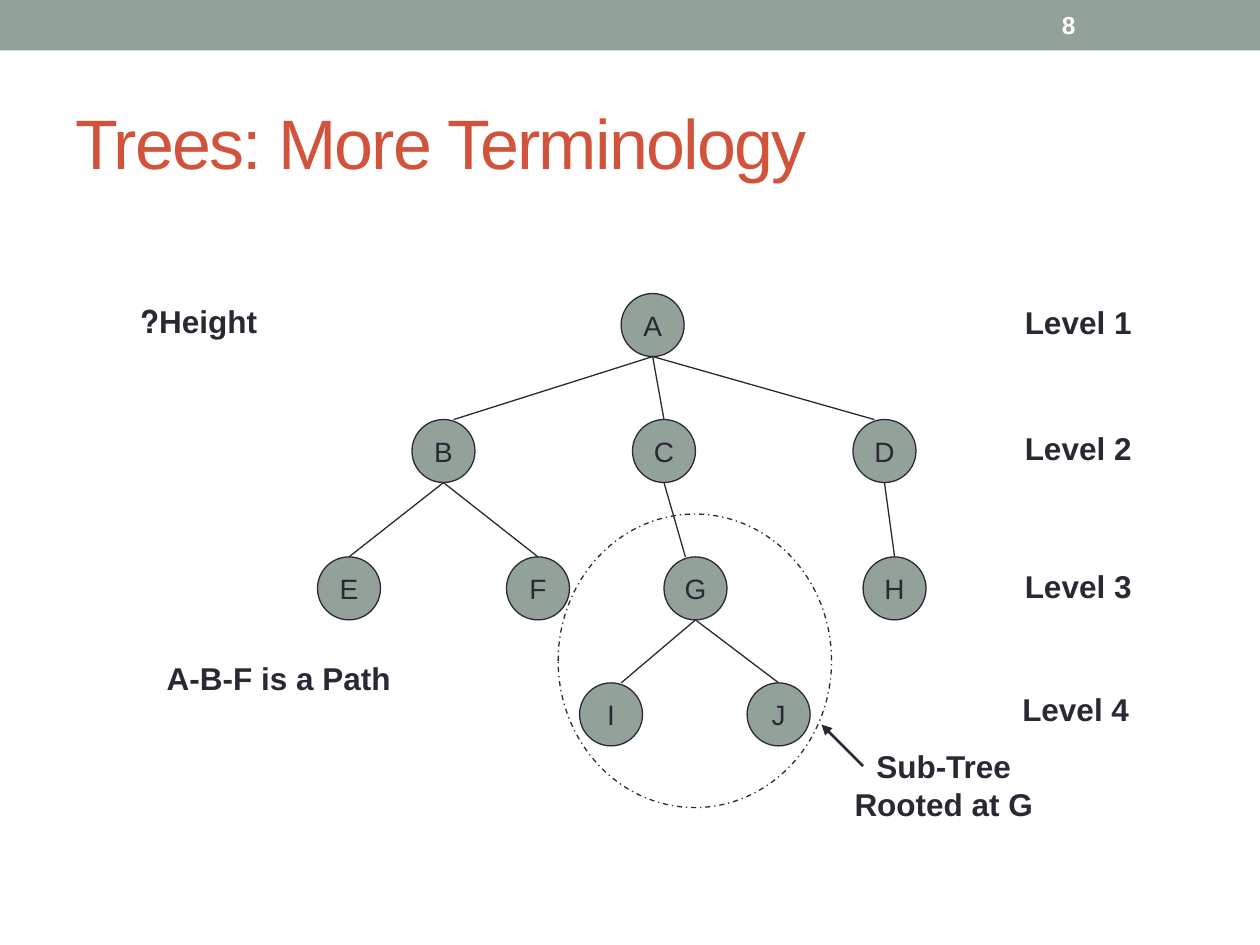
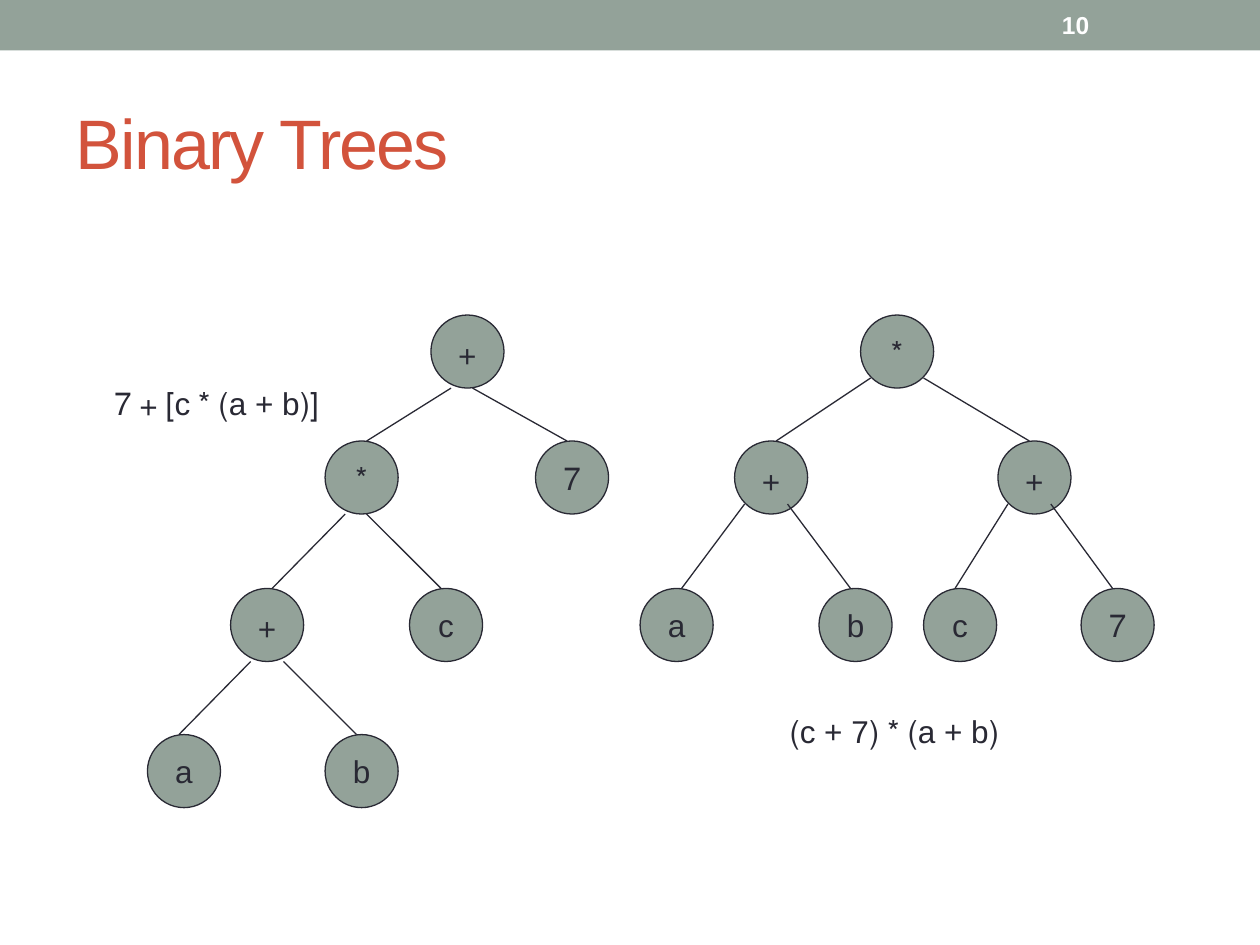
from lxml.etree import SubElement
from pptx import Presentation
from pptx.dml.color import RGBColor
from pptx.enum.dml import MSO_LINE as Dash
from pptx.enum.shapes import MSO_CONNECTOR as Conn, MSO_SHAPE as Shape
from pptx.enum.text import MSO_ANCHOR as Anchor, MSO_AUTO_SIZE as Fit, PP_ALIGN as Align
from pptx.oxml.ns import qn
from pptx.util import Inches, Pt

COLORS = {"band": "93A299", "title": "D2533C", "ink": "292934", "page": "FFFFFF"}
FONT = "Arial"

# nodes: key -> left, top; the first letter of the key is the label
# edges: parent, child, sideways shift at the parent, sideways shift at the child
# drop: how far below the top of the parent its edges start
TERMS = {
    "size": 0.5, "drop": 0.5, "pt": 16,
    "nodes": {
        "A": (4.93, 2.33),
        "B": (3.27, 3.33), "C": (5.02, 3.33), "D": (6.77, 3.33),
        "E": (2.52, 4.42), "F": (4.02, 4.42), "G": (5.27, 4.42), "H": (6.85, 4.42),
        "I": (4.6, 5.42), "J": (5.93, 5.42),
    },
    "edges": [
        ("A", "B", 0, 0.08), ("A", "C", 0, 0), ("A", "D", 0, -0.08),
        ("B", "E", 0, 0), ("B", "F", 0, 0), ("C", "G", 0, -0.08),
        ("D", "H", 0, 0), ("G", "I", 0, 0.08), ("G", "J", 0, 0),
    ],
}
SUM = {
    "size": 0.58, "drop": 0.58, "pt": 18,
    "nodes": {
        "+1": (3.42, 2.5), "*": (2.58, 3.5), "7": (4.25, 3.5),
        "+2": (1.83, 4.67), "c": (3.25, 4.67),
        "a": (1.17, 5.83), "b": (2.58, 5.83),
    },
    "edges": [
        ("+1", "*", -0.13, 0.04), ("+1", "7", 0.04, -0.04),
        ("*", "+2", -0.13, 0.04), ("*", "c", 0.04, -0.04),
        ("+2", "a", -0.13, -0.04), ("+2", "b", 0.13, -0.04),
    ],
}
PRODUCT = {
    "size": 0.58, "drop": 0.5, "pt": 18,
    "nodes": {
        "*": (6.83, 2.5), "+1": (5.83, 3.5), "+2": (7.92, 3.5),
        "a": (5.08, 4.67), "b": (6.5, 4.67), "c": (7.33, 4.67), "7": (8.58, 4.67),
    },
    "edges": [
        ("*", "+1", -0.21, 0.04), ("*", "+2", 0.21, -0.04),
        ("+1", "a", -0.21, 0.04), ("+1", "b", 0.13, -0.04),
        ("+2", "c", -0.21, -0.04), ("+2", "7", 0.13, -0.04),
    ],
}

# notes: text, box, alignment
SLIDES = [
    {
        "title": "Trees: More Terminology", "page": 8, "trees": [TERMS], "bold": True,
        "notes": [
            ("Sub-Tree\nRooted at G", (6.67, 5.88, 1.64, 0.77), Align.CENTER),
            ("A-B-F is a Path", (1.17, 5.18, 2.03, 0.43), Align.RIGHT),
            ("Level 1", (8.02, 2.36, 1.06, 0.43), Align.RIGHT),
            ("Level 2", (8.02, 3.36, 1.06, 0.43), Align.RIGHT),
            ("Level 3", (8.02, 4.45, 1.06, 0.43), Align.RIGHT),
            ("Level 4", (8, 5.43, 1.06, 0.43), Align.RIGHT),
            ("Height?", (1, 2.35, 1.14, 0.43), Align.RIGHT),
        ],
        "ring": (4.43, 4.08, 2.17, 2.33),
        "arrow": ((6.85, 6.08), (6.52, 5.75)),
    },
    {
        "title": "Binary Trees", "page": 10, "trees": [SUM, PRODUCT], "bold": False,
        "notes": [
            ("[(a + b) * c] + 7", (0.67, 3, 1.96, 0.43), Align.RIGHT),
            ("(a + b) * (c + 7)", (6.07, 5.6, 1.96, 0.43), Align.RIGHT),
        ],
    },
]


def rgb(name):
    return RGBColor.from_string(COLORS[name])


def inch(nums):
    return [Inches(n) for n in nums]


def write(frame, text, size, color="ink", bold=False, align=Align.LEFT, rtl=False):
    frame.text = text
    for para in frame.paragraphs:
        para.alignment = align
        if rtl:
            para._p.get_or_add_pPr().set("rtl", "1")
        for run in para.runs:
            font = run.font
            font.name, font.size, font.bold = FONT, Pt(size), bold
            font.color.rgb = rgb(color)


def add_text(slide, box, text, size, **style):
    frame = slide.shapes.add_textbox(*inch(box)).text_frame
    frame.word_wrap = True
    frame.vertical_anchor = Anchor.MIDDLE
    write(frame, text, size, **style)
    return frame


def add_form(slide, kind, box, fill=None, line=None):
    form = slide.shapes.add_shape(kind, *inch(box))
    form.shadow.inherit = False
    if fill:
        form.fill.solid()
        form.fill.fore_color.rgb = rgb(fill)
    else:
        form.fill.background()
    if line:
        form.line.color.rgb = rgb(line)
        form.line.width = Pt(0.75)
    else:
        form.line.fill.background()
    return form


def add_line(slide, start, end, width=0.75, arrow=False):
    link = slide.shapes.add_connector(Conn.STRAIGHT, *inch(start + end))
    link.line.color.rgb = rgb("ink")
    link.line.width = Pt(width)
    if arrow:
        SubElement(link.line._get_or_add_ln(), qn("a:tailEnd"), type="triangle")
    SubElement(link._element.spPr, qn("a:effectLst"))


def add_frame(slide, title, page):
    """Draw the top band, the title and the page number."""
    add_form(slide, Shape.RECTANGLE, (0, 0, 10, 0.4), fill="band")
    head = add_text(slide, (0.5, 0.58, 9, 1.08), title, 40, color="title")
    head.paragraphs[0].runs[0].font._element.set("spc", "-100")
    add_text(slide, (8.33, 0.02, 1.17, 0.36), str(page), 14, color="page", bold=True)


def add_tree(slide, tree):
    size, nodes = tree["size"], tree["nodes"]
    for key, (left, top) in nodes.items():
        node = add_form(slide, Shape.OVAL, (left, top, size, size), "band", "ink")
        frame = node.text_frame
        frame.word_wrap = False
        frame.vertical_anchor = Anchor.MIDDLE
        write(frame, key[0], tree["pt"], align=Align.CENTER, rtl=True)
    for up, down, out, into in tree["edges"]:
        (x1, y1), (x2, y2) = nodes[up], nodes[down]
        mid = size / 2
        add_line(slide, (x1 + mid + out, y1 + tree["drop"]), (x2 + mid + into, y2))


def add_note(slide, text, box, align, bold):
    frame = add_text(slide, box, text, 18, bold=bold, align=align, rtl=True)
    frame.word_wrap = False
    frame.vertical_anchor = Anchor.TOP
    frame.auto_size = Fit.SHAPE_TO_FIT_TEXT


def main():
    deck = Presentation()
    deck.slide_width, deck.slide_height = Inches(10), Inches(7.5)
    for data in SLIDES:
        slide = deck.slides.add_slide(deck.slide_layouts[6])
        add_frame(slide, data["title"], data["page"])
        for tree in data["trees"]:
            add_tree(slide, tree)
        if "ring" in data:
            ring = add_form(slide, Shape.OVAL, data["ring"], line="ink")
            ring.line.dash_style = Dash.DASH_DOT
        for note in data["notes"]:
            add_note(slide, *note, data["bold"])
        if "arrow" in data:
            add_line(slide, *data["arrow"], width=1.5, arrow=True)
    deck.save("out.pptx")


if __name__ == "__main__":
    main()
